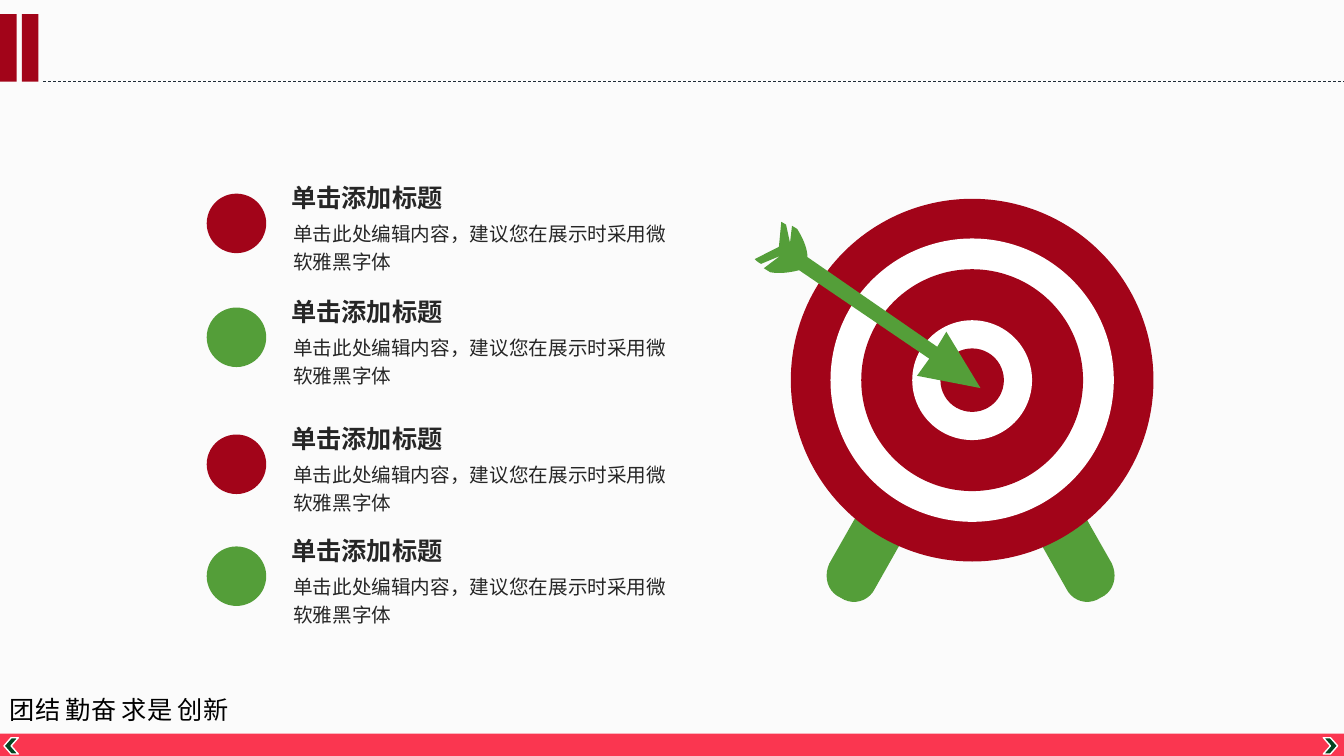
from dataclasses import dataclass

from lxml import etree
from pptx import Presentation
from pptx import util as u
from pptx.dml.color import RGBColor
from pptx.enum import dml, shapes, text
from pptx.oxml.ns import qn


@dataclass(frozen=True)
class Theme:
    red: str = "A20419"
    green: str = "549E39"
    white: str = "FFFFFF"
    paper: str = "FBFBFB"
    footer: str = "FA3650"
    arrow: str = "044622"
    rule: str = "1F2B37"
    ink: str = "262626"
    black: str = "000000"
    font: str = "Noto Sans CJK SC"
    motto_font: str = "Noto Sans CJK JP"
    title_size: int = 18
    body_size: int = 14


SHAPE = shapes.MSO_SHAPE
WIDTH, HEIGHT = 33.87, 19.05
TARGET_X, TARGET_Y = 24.5, 9.58
RINGS = (9.14, 7.14, 5.59, 3.02, 1.6)
LEG_AXIS = 24.46
ITEM_TOPS = (4.88, 7.75, 10.95, 13.77)
DOT = 1.5

# An outline step is an end point, or two Bezier controls and an end point.
LEG = [
    (26.87, 14.83),
    (27.03, 15.16, 27.43, 15.27, 27.74, 15.06),
    (28.07, 14.91, 28.17, 14.53, 28.02, 14.2),
    (27.15, 12.67),
    (26.97, 12.37, 26.59, 12.24, 26.26, 12.42),
    (25.96, 12.6, 25.86, 13, 26.01, 13.31),
]
DART = [
    (19.66, 6.45), (19.18, 6.65),
    (19.18, 6.65, 19.08, 6.6, 19.02, 6.53),
    (19.63, 6.22), (19.69, 5.59), (19.81, 5.66), (19.91, 6.12),
    (19.96, 5.69), (20.09, 5.77),
    (20.22, 5.97, 20.35, 6.25, 20.35, 6.48),
    (23.62, 8.74), (23.85, 8.36), (24.71, 9.78), (23.11, 9.47),
    (23.42, 9.04), (20.14, 6.81),
    (19.94, 6.86, 19.66, 6.91, 19.41, 6.86),
    (19.25, 6.76),
]


def flatten(steps, pieces=10):
    """Turn outline steps into points, dividing each curve into pieces."""
    points = []
    for step in steps:
        if len(step) == 2:
            points.append(step)
            continue
        (x0, y0), (x1, y1, x2, y2, x3, y3) = points[-1], step
        for i in range(1, pieces + 1):
            t = i / pieces
            a, b, c, d = (1 - t)**3, 3 * t * (1 - t)**2, 3 * t * t * (1 - t), t**3
            points.append((a * x0 + b * x1 + c * x2 + d * x3,
                           a * y0 + b * y1 + c * y2 + d * y3))
    return points


def assign(obj, values):
    for name, value in values.items():
        setattr(obj, name, value)


class Deck:
    def __init__(self, theme):
        self.theme = theme
        self.prs = Presentation()
        assign(self.prs, {"slide_width": u.Cm(WIDTH), "slide_height": u.Cm(HEIGHT)})
        self.s = self.prs.slides.add_slide(self.prs.slide_layouts[6])
        self.paint(self.s.background.fill, theme.paper)

    def paint(self, fill, color):
        fill.solid()
        fill.fore_color.rgb = RGBColor.from_string(color)

    def finish(self, sp, color, outline=None):
        sp.shadow.inherit = False
        self.paint(sp.fill, color)
        if outline:
            self.paint(sp.line.fill, outline)
            sp.line.width = u.Pt(1)
        else:
            sp.line.fill.background()
        return sp

    def shape(self, kind, x, y, w, h, color, outline=None):
        sp = self.s.shapes.add_shape(kind, *map(u.Cm, (x, y, w, h)))
        return self.finish(sp, color, outline)

    def freeform(self, points, color):
        points = [(u.Cm(x), u.Cm(y)) for x, y in points]
        builder = self.s.shapes.build_freeform(*points[0])
        builder.add_line_segments(points[1:], close=True)
        return self.finish(builder.convert_to_shape(), color)

    def dashed_rule(self, x1, x2, y, color):
        line = self.s.shapes.add_connector(
            shapes.MSO_CONNECTOR.STRAIGHT, *map(u.Cm, (x1, y, x2, y)))
        self.paint(line.line.fill, color)
        assign(line.line, {"width": u.Pt(0.5), "dash_style": dml.MSO_LINE.DASH})
        etree.SubElement(line._element.spPr, qn("a:effectLst"))

    def text(self, x, y, w, h, words, size, color, font, bold=False, frame=None, para=None):
        tf = self.s.shapes.add_textbox(*map(u.Cm, (x, y, w, h))).text_frame
        assign(tf, frame or {"word_wrap": False,
                             "auto_size": text.MSO_AUTO_SIZE.SHAPE_TO_FIT_TEXT})
        p = tf.paragraphs[0]
        assign(p, para or {})
        r = p.add_run()
        r.text = words
        assign(r.font, {"size": u.Pt(size), "bold": bold, "name": font})
        r.font.color.rgb = RGBColor.from_string(color)
        etree.SubElement(r.font._element, qn("a:ea"), typeface=font)

    def item(self, y, color):
        """Add a dot with its heading and explanation."""
        th = self.theme
        self.shape(SHAPE.OVAL, 5.21, y, DOT, DOT, color)
        self.text(7.09, y - 0.41, 4.42, 1.02, "单击添加标题",
                  th.title_size, th.ink, th.font, bold=True)
        margins = dict.fromkeys(
            ("margin_left", "margin_top", "margin_right", "margin_bottom"), 0)
        self.text(7.39, y + 0.59, 9.63, 1.32,
                  "单击此处编辑内容，建议您在展示时采用微软雅黑字体",
                  th.body_size, th.ink, th.font,
                  frame={"word_wrap": True, **margins},
                  para={"line_spacing": 1.2, "space_after": u.Pt(6)})


def main():
    th = Theme()
    deck = Deck(th)

    deck.dashed_rule(1.09, WIDTH, 2.06, th.rule)
    for x in (0, 0.55):
        deck.shape(SHAPE.RECTANGLE, x, 0.36, 0.42, 1.7, th.red)
    deck.shape(SHAPE.RECTANGLE, 0, 18.49, WIDTH, 0.57, th.footer)
    for x, angle in ((33.35, 0), (0.1, 180)):
        sp = deck.shape(SHAPE.CHEVRON, x, 18.59, 0.36, 0.41, th.arrow, th.white)
        sp.rotation = angle
    deck.text(0, 17.37, 7.44, 1.02, "团结 勤奋 求是 创新",
              th.title_size, th.black, th.motto_font)

    leg = flatten(LEG)
    deck.freeform(leg, th.green)
    deck.freeform([(2 * LEG_AXIS - x, y) for x, y in leg], th.green)
    for i, d in enumerate(RINGS):
        deck.shape(SHAPE.OVAL, TARGET_X - d / 2, TARGET_Y - d / 2, d, d,
                   (th.red, th.white)[i % 2])
    deck.freeform(flatten(DART), th.green)

    for i, y in enumerate(ITEM_TOPS):
        deck.item(y, (th.red, th.green)[i % 2])

    deck.prs.save("out.pptx")


if __name__ == "__main__":
    main()
